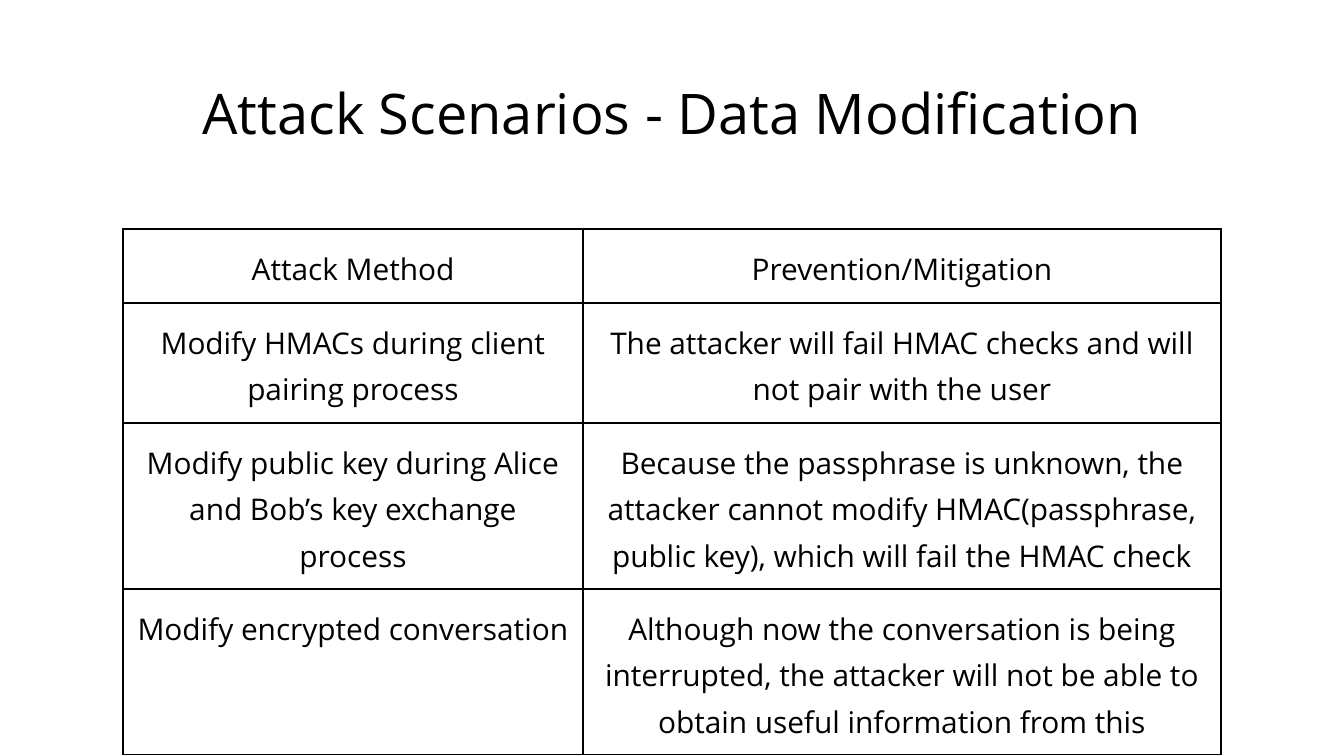
from dataclasses import dataclass

from lxml import etree
from pptx import Presentation
from pptx import util as u
from pptx.dml.color import RGBColor
from pptx.enum import text
from pptx.oxml.ns import qn


@dataclass(frozen=True)
class Theme:
    font: str = "Open Sans"
    ink: str = "000000"
    title_size: float = 30
    cell_size: float = 16
    border_width: float = 0.75
    line_spacing: float = 1.15


THEME = Theme()
EMU_PER_PX = 914400 / 134.4

SCENARIOS = [
    ("Attack Method", "Prevention/Mitigation"),
    ("Modify HMACs during client pairing process",
     "The attacker will fail HMAC checks and will not pair with the user"),
    ("Modify public key during Alice and Bob’s key exchange process",
     "Because the passphrase is unknown, the attacker cannot modify "
     "HMAC(passphrase, public key), which will fail the HMAC check"),
    ("Modify encrypted conversation",
     "Although now the conversation is being interrupted, the attacker will "
     "not be able to obtain useful information from this"),
]


def px(length):
    return u.Emu(round(length * EMU_PER_PX))


def set_all(target, values):
    for name, value in values.items():
        setattr(target, name, value)


def write(frame, words, size, line_spacing=None):
    """Fill a text frame with one centred paragraph."""
    paragraph = frame.paragraphs[0]
    set_all(paragraph, {"alignment": text.PP_ALIGN.CENTER,
                        "line_spacing": line_spacing})
    run = paragraph.add_run()
    run.text = words
    set_all(run.font, {"name": THEME.font, "size": u.Pt(size)})
    run.font.color.rgb = RGBColor.from_string(THEME.ink)


def outline(cell):
    """Draw the four borders of a cell, ahead of its fill."""
    properties = cell._tc.get_or_add_tcPr()
    for position, side in enumerate(("a:lnL", "a:lnR", "a:lnT", "a:lnB")):
        line = etree.Element(qn(side), w=str(u.Pt(THEME.border_width)))
        fill = etree.SubElement(line, qn("a:solidFill"))
        etree.SubElement(fill, qn("a:srgbClr"), val=THEME.ink)
        properties.insert(position, line)


def add_title(slide, box, words):
    title = slide.shapes.add_textbox(*map(px, box))
    set_all(title.text_frame, {
        "word_wrap": True,
        "vertical_anchor": text.MSO_ANCHOR.TOP,
        "margin_left": px(13), "margin_right": px(13),
        "margin_top": px(13), "margin_bottom": 0,
    })
    write(title.text_frame, words, THEME.title_size)


def add_scenarios(slide, box, columns, rows, scenarios):
    holder = slide.shapes.add_table(len(rows), len(columns), *map(px, box))
    table = holder.table
    set_all(table, {"first_row": False, "horz_banding": False})
    for column, width in zip(table.columns, columns):
        column.width = px(width)
    for row, height, scenario in zip(table.rows, rows, scenarios):
        row.height = px(height)
        for cell, words in zip(row.cells, scenario):
            set_all(cell, {f"margin_{side}": u.Inches(0.1)
                           for side in ("left", "right", "top", "bottom")})
            cell.fill.background()
            outline(cell)
            write(cell.text_frame, words, THEME.cell_size, THEME.line_spacing)


def attack_slide(deck, box):
    left, top, width, _ = box
    slide = deck.slides.add_slide(deck.slide_layouts[6])
    # Title
    add_title(slide, (left + 46, top + 66, width - 92, 84),
              "Attack Scenarios - Data Modification")
    # Attack methods and their prevention
    add_scenarios(slide, (left + 123, top + 229, 1098, 526),
                  (460, 638), (74, 120, 166, 166), SCENARIOS)


deck = Presentation()
set_all(deck, {"slide_width": px(1344), "slide_height": px(756)})
attack_slide(deck, (0, 0, 1344, 756))
deck.save("out.pptx")
